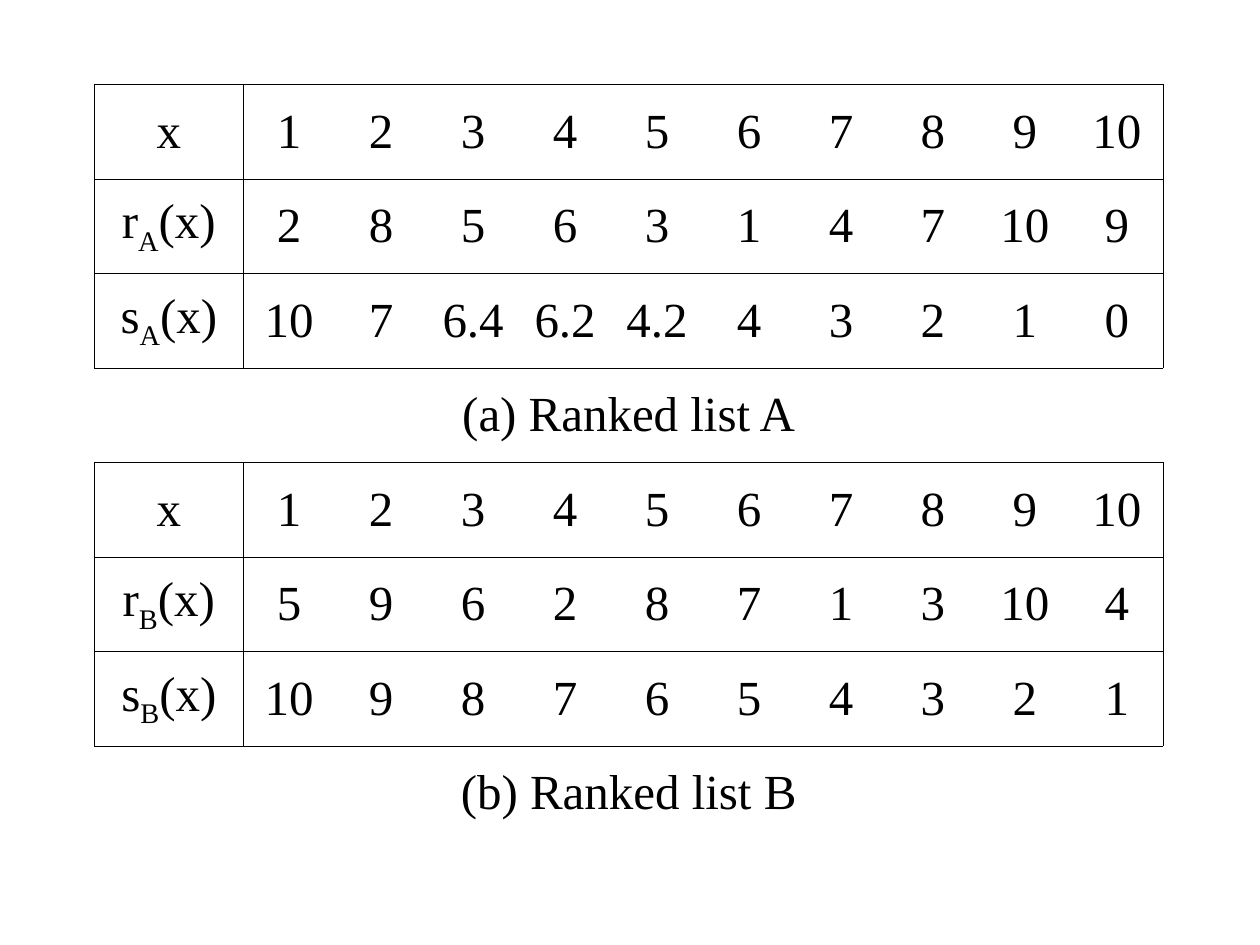
from dataclasses import dataclass

from lxml.etree import SubElement
from pptx import Presentation
from pptx.dml.color import RGBColor
from pptx.enum.text import MSO_ANCHOR, PP_ALIGN
from pptx.oxml.ns import qn
from pptx.table import Table, _Cell as Cell
from pptx.util import Inches, Pt

COLORS = {"ink": "000000"}
FONT_NAME = "Times New Roman"
FONT_SIZE = Pt(28)
BORDER_WIDTH = Pt(0.45)
LEFT, TOP = Inches(0.75), Inches(0.67)
LABEL_WIDTH, VALUE_WIDTH, ROW_HEIGHT = Inches(1.18), Inches(0.73), Inches(0.75)
ITEMS = [str(number) for number in range(1, 11)]
COLUMNS = len(ITEMS) + 1


@dataclass
class RankedList:
    name: str
    caption: str
    ranks: list[str]
    scores: list[str]


RANKED_LISTS = [
    RankedList("A", "(a) Ranked list A", "2 8 5 6 3 1 4 7 10 9".split(),
               "10 7 6.4 6.2 4.2 4 3 2 1 0".split()),
    RankedList("B", "(b) Ranked list B", "5 9 6 2 8 7 1 3 10 4".split(),
               "10 9 8 7 6 5 4 3 2 1".split()),
]
ROWS_PER_LIST = 4
ROWS = ROWS_PER_LIST * len(RANKED_LISTS)


def write_cell(cell: Cell, text: str, subscript: str = "", ending: str = "") -> None:
    cell.vertical_anchor = MSO_ANCHOR.MIDDLE
    paragraph = cell.text_frame.paragraphs[0]
    paragraph.alignment = PP_ALIGN.CENTER
    for part, baseline in ((text, 0), (subscript, -25000), (ending, 0)):
        if not part:
            continue
        run = paragraph.add_run()
        run.text = part
        run.font.name = FONT_NAME
        run.font.size = FONT_SIZE
        run.font.color.rgb = RGBColor.from_string(COLORS["ink"])
        if baseline:
            run._r.get_or_add_rPr().set("baseline", str(baseline))


def set_borders(cell: Cell, visible: dict[str, bool]) -> None:
    """Draw or hide each side, keyed L, R, T, B in schema order."""
    properties = cell._tc.get_or_add_tcPr()
    for side, shown in visible.items():
        line = SubElement(properties, qn(f"a:ln{side}"), w=str(int(BORDER_WIDTH)))
        if shown:
            fill = SubElement(line, qn("a:solidFill"))
            SubElement(fill, qn("a:srgbClr"), val=COLORS["ink"])
        else:
            SubElement(line, qn("a:noFill"))


def format_grid(table: Table) -> None:
    """Rule every row and box the label column; captions have no sides."""
    for row in range(ROWS):
        is_caption = row % ROWS_PER_LIST == ROWS_PER_LIST - 1
        for column in range(COLUMNS):
            cell = table.cell(row, column)
            set_borders(cell, {
                "L": not is_caption and column <= 1,
                "R": not is_caption and column in (0, COLUMNS - 1),
                "T": True,
                "B": row < ROWS - 1,
            })
            cell.fill.background()


def write_list(table: Table, first_row: int, ranked_list: RankedList) -> None:
    name = ranked_list.name
    rows = [
        (("x",), ITEMS),
        (("r", name, "(x)"), ranked_list.ranks),
        (("s", name, "(x)"), ranked_list.scores),
    ]
    for row, (label, values) in enumerate(rows, first_row):
        write_cell(table.cell(row, 0), *label)
        for column, value in enumerate(values, 1):
            write_cell(table.cell(row, column), value)
    caption_row = first_row + len(rows)
    caption = table.cell(caption_row, 0)
    caption.merge(table.cell(caption_row, COLUMNS - 1))
    write_cell(caption, ranked_list.caption)


def main() -> None:
    presentation = Presentation()
    presentation.slide_width, presentation.slide_height = Inches(10), Inches(7.5)
    slide = presentation.slides.add_slide(presentation.slide_layouts[6])
    width = LABEL_WIDTH + VALUE_WIDTH * len(ITEMS)
    table = slide.shapes.add_table(
        ROWS, COLUMNS, LEFT, TOP, width, ROW_HEIGHT * ROWS).table
    table.first_row = table.horz_banding = False
    for index, column in enumerate(table.columns):
        column.width = VALUE_WIDTH if index else LABEL_WIDTH
    for row in table.rows:
        row.height = ROW_HEIGHT
    format_grid(table)
    for index, ranked_list in enumerate(RANKED_LISTS):
        write_list(table, index * ROWS_PER_LIST, ranked_list)
    presentation.save("out.pptx")


if __name__ == "__main__":
    main()
